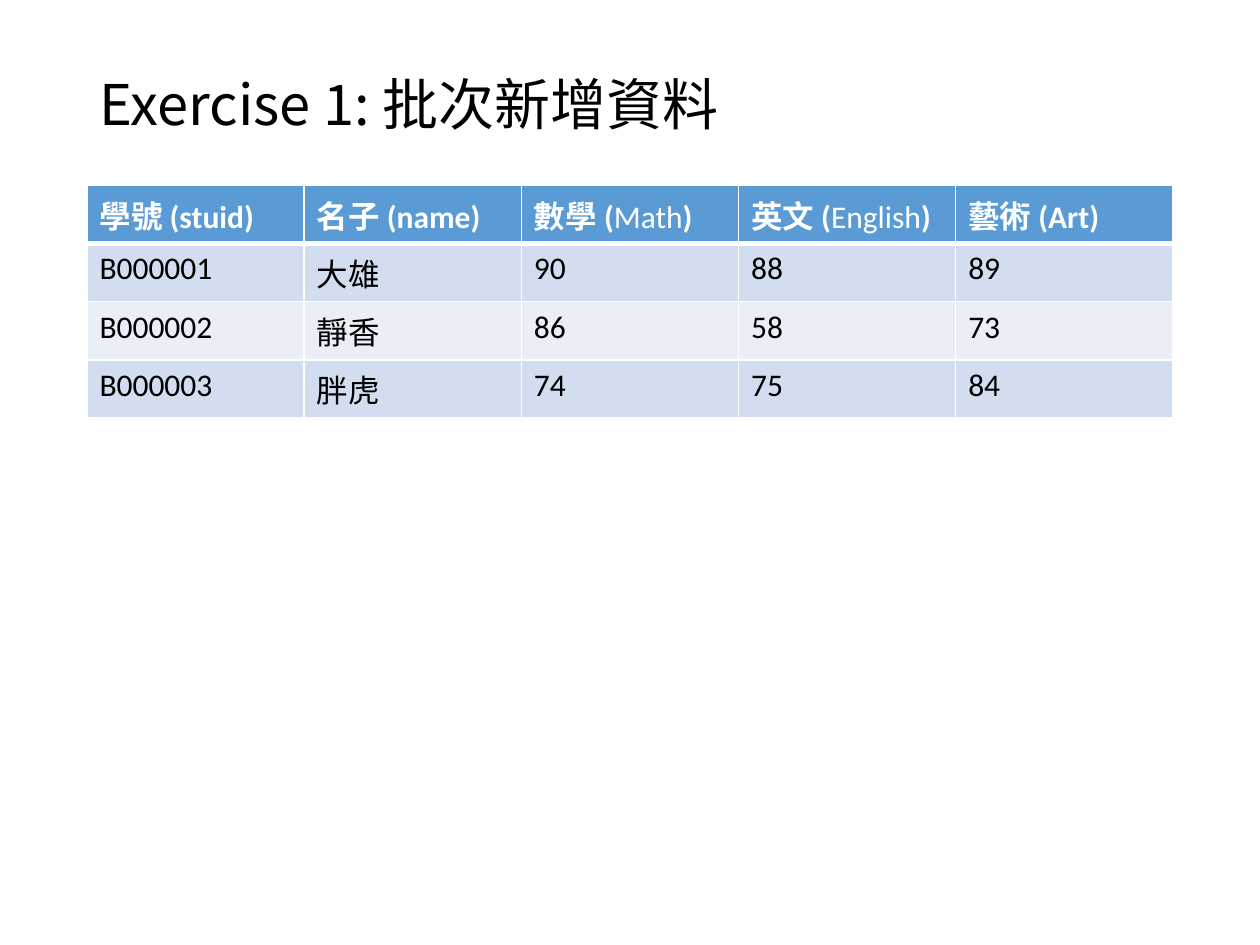
import pptx
import pptx.dml.color
import pptx.enum.text
import pptx.oxml
import pptx.oxml.ns
import pptx.util
from pptx.util import Inches

COLOURS = {
    "text": "000000",
    "white": "FFFFFF",
    "header": "5B9BD5",
    "odd": "D2DEEF",
    "even": "EAEFF7",
}
LATIN_FONT = "Calibri"
ASIAN_FONT = "Noto Sans CJK SC"
LEFT, WIDTH = 0.69, 8.62
ROW_HEIGHT = 0.41

HEADERS = [
    [("學號 (stuid)", True)],
    [("名子 (name)", True)],
    [("數學 (", True), ("Math", False), (")", True)],
    [("英文 (", True), ("English", False), (")", True)],
    [("藝術 (Art)", True)],
]
STUDENTS = [
    ["B000001", "大雄", "90", "88", "89"],
    ["B000002", "靜香", "86", "58", "73"],
    ["B000003", "胖虎", "74", "75", "84"],
]


def set_attributes(target, values):
    for name, value in values.items():
        setattr(target, name, value)


def colour(name):
    return pptx.dml.color.RGBColor.from_string(COLOURS[name])


def add_run(paragraph, text, size, font_name, colour_name, bold=False):
    run = paragraph.add_run()
    run.text = text
    set_attributes(run.font, {"size": pptx.util.Pt(size), "name": font_name, "bold": bold})
    run.font.color.rgb = colour(colour_name)
    asian = pptx.oxml.parse_xml(
        f'<a:ea {pptx.oxml.ns.nsdecls("a")} typeface="{ASIAN_FONT}"/>'
    )
    run.font._element.append(asian)


def add_title(slide, text):
    title = slide.shapes.title
    set_attributes(title, {
        "left": Inches(LEFT), "top": Inches(0.4),
        "width": Inches(WIDTH), "height": Inches(0.91),
    })
    set_attributes(title.text_frame, {
        "word_wrap": True,
        "auto_size": pptx.enum.text.MSO_AUTO_SIZE.NONE,
        "vertical_anchor": pptx.enum.text.MSO_ANCHOR.MIDDLE,
    })
    paragraph = title.text_frame.paragraphs[0]
    set_attributes(paragraph, {
        "alignment": pptx.enum.text.PP_ALIGN.LEFT, "line_spacing": 0.9,
    })
    add_run(paragraph, text, 32, ASIAN_FONT, "text")


def set_borders(cell, widths):
    properties = cell._tc.get_or_add_tcPr()
    for side, width in widths.items():
        properties.append(pptx.oxml.parse_xml(
            f'<a:ln{side} {pptx.oxml.ns.nsdecls("a")} w="{pptx.util.Pt(width)}">'
            f'<a:solidFill><a:srgbClr val="{COLOURS["white"]}"/></a:solidFill>'
            f'</a:ln{side}>'
        ))


def fill_cell(cell, runs, fill_name, text_name, top, bottom):
    set_borders(cell, {"L": 1, "R": 1, "T": top, "B": bottom})
    cell.fill.solid()
    cell.fill.fore_color.rgb = colour(fill_name)
    paragraph = cell.text_frame.paragraphs[0]
    for text, bold in runs:
        add_run(paragraph, text, 18, LATIN_FONT, text_name, bold)


def add_score_table(slide):
    row_count, column_count = len(STUDENTS) + 1, len(HEADERS)
    table = slide.shapes.add_table(
        row_count, column_count, Inches(LEFT), Inches(1.47),
        Inches(WIDTH), Inches(ROW_HEIGHT * row_count),
    ).table
    for column, runs in enumerate(HEADERS):
        fill_cell(table.cell(0, column), runs, "header", "white", 1, 3)
    for row, student in enumerate(STUDENTS, start=1):
        fill_name = "odd" if row % 2 else "even"
        top = 3 if row == 1 else 1
        for column, text in enumerate(student):
            fill_cell(table.cell(row, column), [(text, False)], fill_name, "text", top, 1)


def main():
    presentation = pptx.Presentation()
    set_attributes(presentation, {"slide_width": Inches(10), "slide_height": Inches(7.5)})
    slide = presentation.slides.add_slide(presentation.slide_layouts[5])
    add_title(slide, "Exercise 1: 批次新增資料")
    add_score_table(slide)
    presentation.save("out.pptx")


if __name__ == "__main__":
    main()
